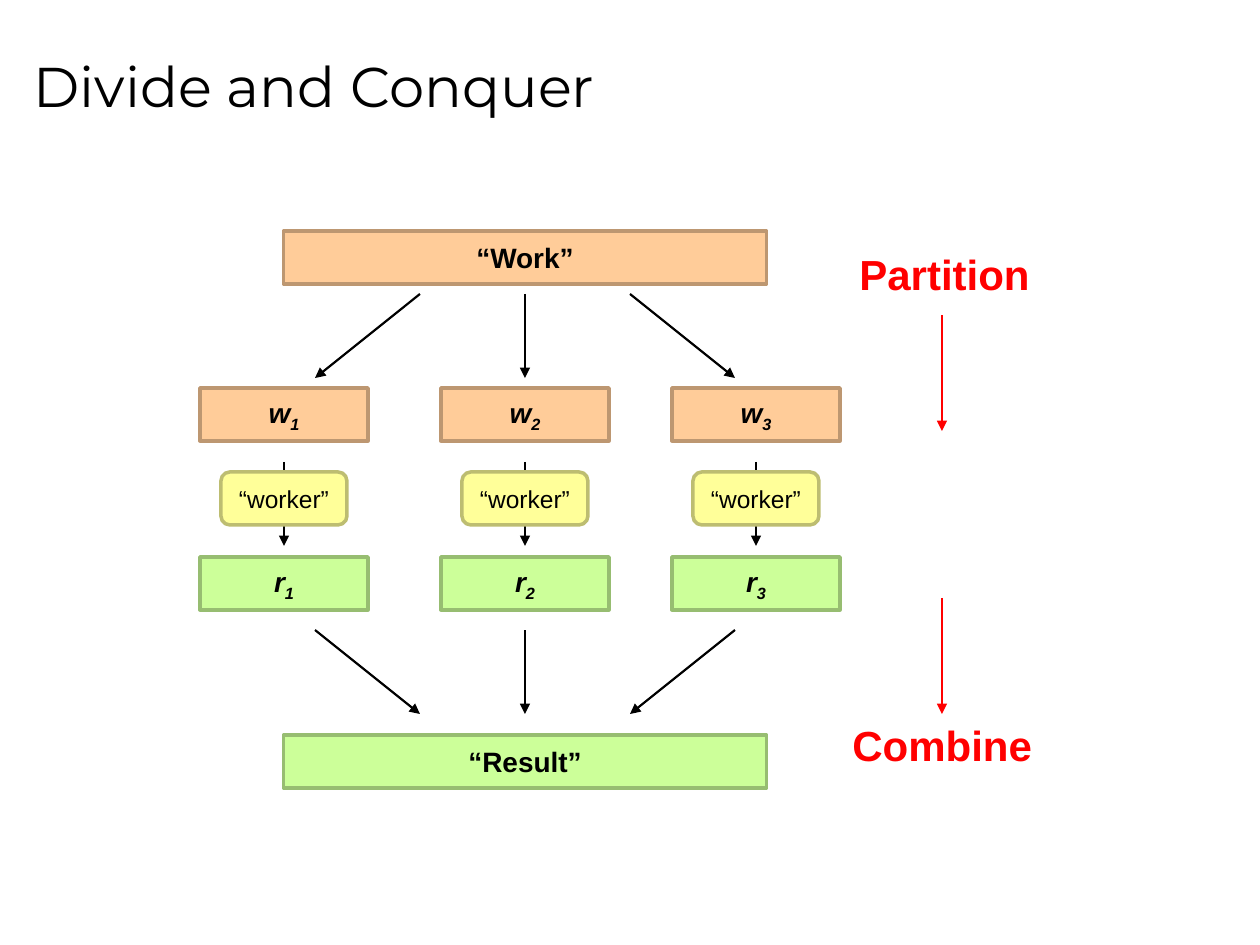
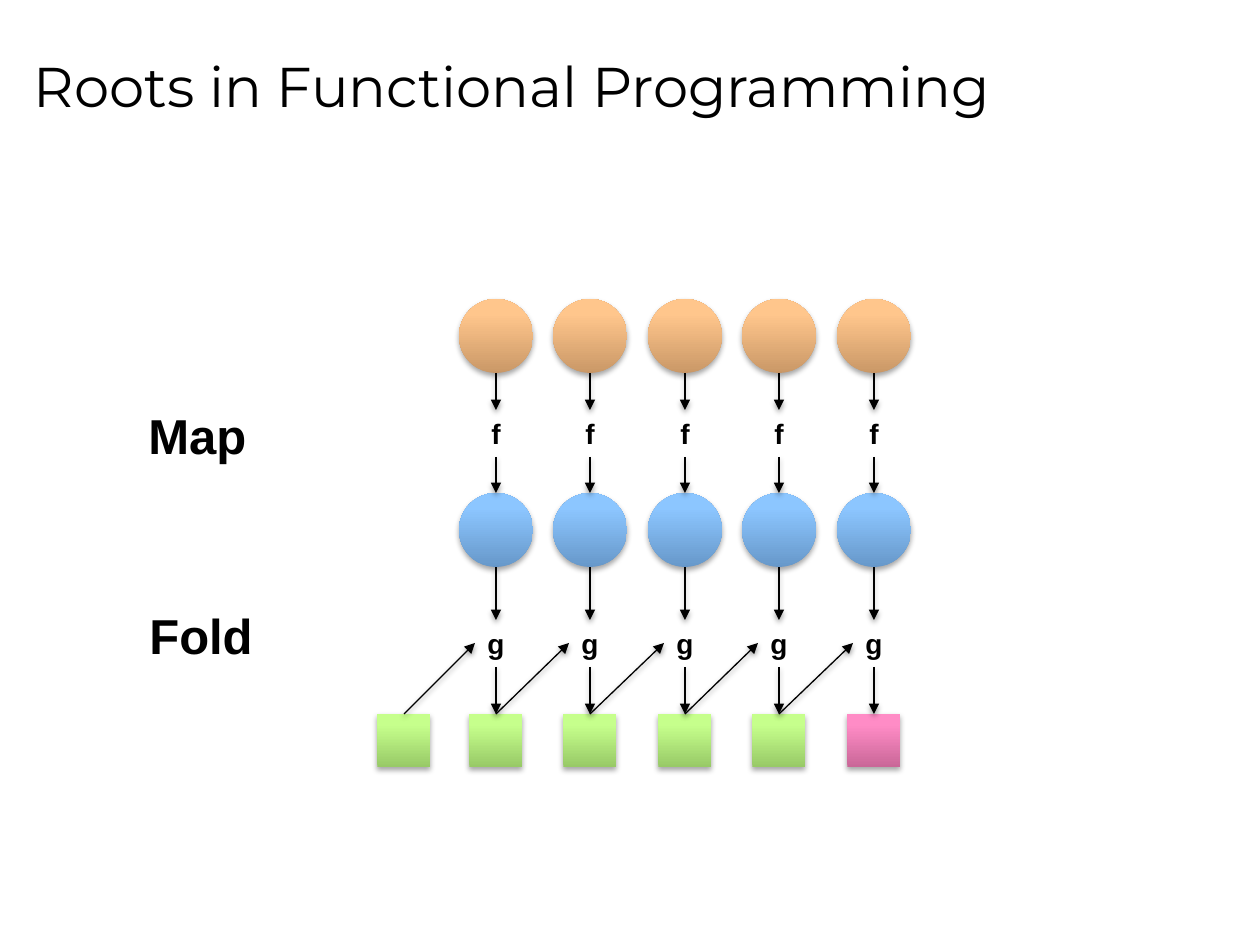
from copy import deepcopy

from lxml import etree
from pptx import Presentation
from pptx.dml.color import RGBColor
from pptx.enum.shapes import MSO_CONNECTOR, MSO_SHAPE
from pptx.enum.text import MSO_ANCHOR, MSO_AUTO_SIZE, PP_ALIGN
from pptx.oxml.ns import qn
from pptx.util import Inches, Pt

RECTANGLE = MSO_SHAPE.RECTANGLE
ROUNDED = MSO_SHAPE.ROUNDED_RECTANGLE
OVAL = MSO_SHAPE.OVAL
STRAIGHT = MSO_CONNECTOR.STRAIGHT
LEFT, CENTER = PP_ALIGN.LEFT, PP_ALIGN.CENTER
MIDDLE, TOP = MSO_ANCHOR.MIDDLE, MSO_ANCHOR.TOP
GROW, FIXED = MSO_AUTO_SIZE.SHAPE_TO_FIT_TEXT, MSO_AUTO_SIZE.NONE
TOP_SIDE = 0

PX_PER_INCH = 126
TITLE_FONT, BODY_FONT = "Montserrat", "Arial"
BLACK, RED = "000000", "FF0000"

# Fill and outline of the flat boxes
ORANGE_BOX = ("FFCC99", "BD9771")
GREEN_BOX = ("CCFF99", "97BD71")
YELLOW_BOX = ("FFFF99", "BDBD71")

# Gradient colours from bottom to top
GRADIENT_POSITIONS = (0, 0.8, 1)
ORANGE_GRADIENT = ("CA9867", "FFC68C", "FFC78E")
BLUE_GRADIENT = ("6798CA", "8CC6FF", "8EC7FF")
GREEN_GRADIENT = ("98CA67", "C6FF8C", "C7FF8E")
PINK_GRADIENT = ("CA6798", "FF8CC6", "FF8EC7")

BOX_HEIGHT = 53


def px(length):
    return round(length * Inches(1) / PX_PER_INCH)


def rgb(color):
    return RGBColor.from_string(color)


def write_text(shape, text, subscript="", font=BODY_FONT, size=16, color=BLACK,
               bold=False, italic=False, align=CENTER, anchor=MIDDLE):
    shape.text_frame.vertical_anchor = anchor
    para = shape.text_frame.paragraphs[0]
    para.alignment = align
    for part in filter(None, (text, subscript)):
        span = para.add_run()
        span.text = part
        span.font.name = font
        span.font.size = Pt(size)
        span.font.bold = bold
        span.font.italic = italic
        span.font.color.rgb = rgb(color)
    if subscript:
        span.font._element.set("baseline", "-25000")


def add_page(deck, title):
    page = deck.slides.add_slide(deck.slide_layouts[5])
    box = page.shapes.title
    box.left, box.top, box.width, box.height = map(px, (21, 15, 1197, 141))
    box.text_frame.auto_size = FIXED
    write_text(box, title, font=TITLE_FONT, size=32, align=LEFT)
    return page


def add_label(page, left, top, width, height, text, **text_format):
    box = page.shapes.add_textbox(*map(px, (left, top, width, height)))
    box.text_frame.word_wrap = False
    box.text_frame.auto_size = GROW
    write_text(box, text, bold=True, align=LEFT, anchor=TOP, **text_format)


def add_box(page, center, top, width, colors, text, kind=RECTANGLE, **text_format):
    fill, outline = colors
    box = page.shapes.add_shape(
        kind, *map(px, (center - width / 2, top, width, BOX_HEIGHT)))
    box.shadow.inherit = False
    box.fill.solid()
    box.fill.fore_color.rgb = rgb(fill)
    box.line.color.rgb = rgb(outline)
    box.line.width = Pt(2)
    write_text(box, text, **text_format)


def add_shadow(effects, distance, opacity):
    """Add a soft black shadow below, with distance in EMU and opacity in percent."""
    shadow = etree.SubElement(effects, qn("a:outerShdw"), blurRad="40000",
                              dist=str(distance), dir="5400000", rotWithShape="0")
    color = etree.SubElement(shadow, qn("a:srgbClr"), val=BLACK)
    etree.SubElement(color, qn("a:alpha"), val=str(opacity * 1000))


def add_item(page, kind, center, top, size, gradient):
    """Add a data item: a shape with a three-stop gradient and a shadow."""
    item = page.shapes.add_shape(
        kind, *map(px, (center - size / 2, top, size, size)))
    item.fill.gradient()
    item.fill.gradient_angle = 90
    stop_list = item._element.spPr.find(".//" + qn("a:gsLst"))
    stop_list.append(deepcopy(stop_list[-1]))
    stops = zip(item.fill.gradient_stops, GRADIENT_POSITIONS, gradient)
    for stop, position, color in stops:
        stop.position = position
        stop.color.rgb = rgb(color)
    item.line.fill.background()
    item.shadow.inherit = False
    add_shadow(item._element.spPr.find(qn("a:effectLst")), 23000, 35)
    return item


def add_arrow(page, start, end, color=BLACK, width=1.25, shadow=False):
    arrow = page.shapes.add_connector(STRAIGHT, *map(px, (*start, *end)))
    arrow.line.color.rgb = rgb(color)
    arrow.line.width = Pt(width)
    etree.SubElement(arrow.line._get_or_add_ln(), qn("a:tailEnd"), type="triangle")
    effects = etree.SubElement(arrow._element.spPr, qn("a:effectLst"))
    if shadow:
        add_shadow(effects, 20000, 38)
    return arrow


def add_divide_and_conquer(deck):
    page = add_page(deck, "Divide and Conquer")
    middle = 525
    add_box(page, middle, 231, 483, ORANGE_BOX, "“Work”", bold=True)
    add_box(page, middle, 735, 483, GREEN_BOX, "“Result”", bold=True)

    for side in (-1, 0, 1):
        near, far = middle + side * 105, middle + side * 210
        add_arrow(page, (near, 294), (far, 378))
        add_arrow(page, (far, 630), (near, 714))

    for number, center in enumerate((284, 525, 756), start=1):
        for letter, top, colors in (("w", 388, ORANGE_BOX), ("r", 557, GREEN_BOX)):
            add_box(page, center, top, 168, colors, letter,
                    subscript=str(number), bold=True, italic=True)
        add_arrow(page, (center, 462), (center, 546))
        add_box(page, center, 472, 126, YELLOW_BOX, "“worker”", kind=ROUNDED, size=14)

    add_label(page, 847, 242, 198, 64, "Partition", size=24, color=RED)
    add_label(page, 840, 713, 207, 64, "Combine", size=24, color=RED)
    for top in (315, 598):
        add_arrow(page, (942, top), (942, top + 116), color=RED, width=1.5)


def add_functional_roots(deck):
    page = add_page(deck, "Roots in Functional Programming")
    circle, square = 74, 53
    map_top, fold_top, square_top = 299, 493, 714
    thin = {"width": 0.75, "shadow": True}
    add_label(page, 136, 399, 125, 72, "Map", size=28)
    add_label(page, 137, 599, 130, 72, "Fold", size=28)

    centers = [496 + column * 189 // 2 for column in range(5)]
    previous_center = 404
    previous = add_item(page, RECTANGLE, previous_center, square_top, square,
                        GREEN_GRADIENT)
    for center in centers:
        add_item(page, OVAL, center, map_top, circle, ORANGE_GRADIENT)
        add_item(page, OVAL, center, fold_top, circle, BLUE_GRADIENT)
        gradient = PINK_GRADIENT if center == centers[-1] else GREEN_GRADIENT
        result = add_item(page, RECTANGLE, center, square_top, square, gradient)

        add_label(page, center - 17, 410, 35, 47, "f")
        add_label(page, center - 21, 620, 43, 47, "g")
        for start, end in ((map_top + circle, 410), (457, fold_top),
                           (fold_top + circle, 620)):
            add_arrow(page, (center, start), (center, end), **thin)
        output = add_arrow(page, (center, 667), (center, square_top), **thin)
        output.end_connect(result, TOP_SIDE)
        carry = add_arrow(page, (previous_center, square_top), (center - 21, 643), **thin)
        carry.begin_connect(previous, TOP_SIDE)
        previous, previous_center = result, center


def main():
    deck = Presentation()
    deck.slide_width, deck.slide_height = px(1260), px(945)
    add_divide_and_conquer(deck)
    add_functional_roots(deck)
    deck.save("out.pptx")


if __name__ == "__main__":
    main()
